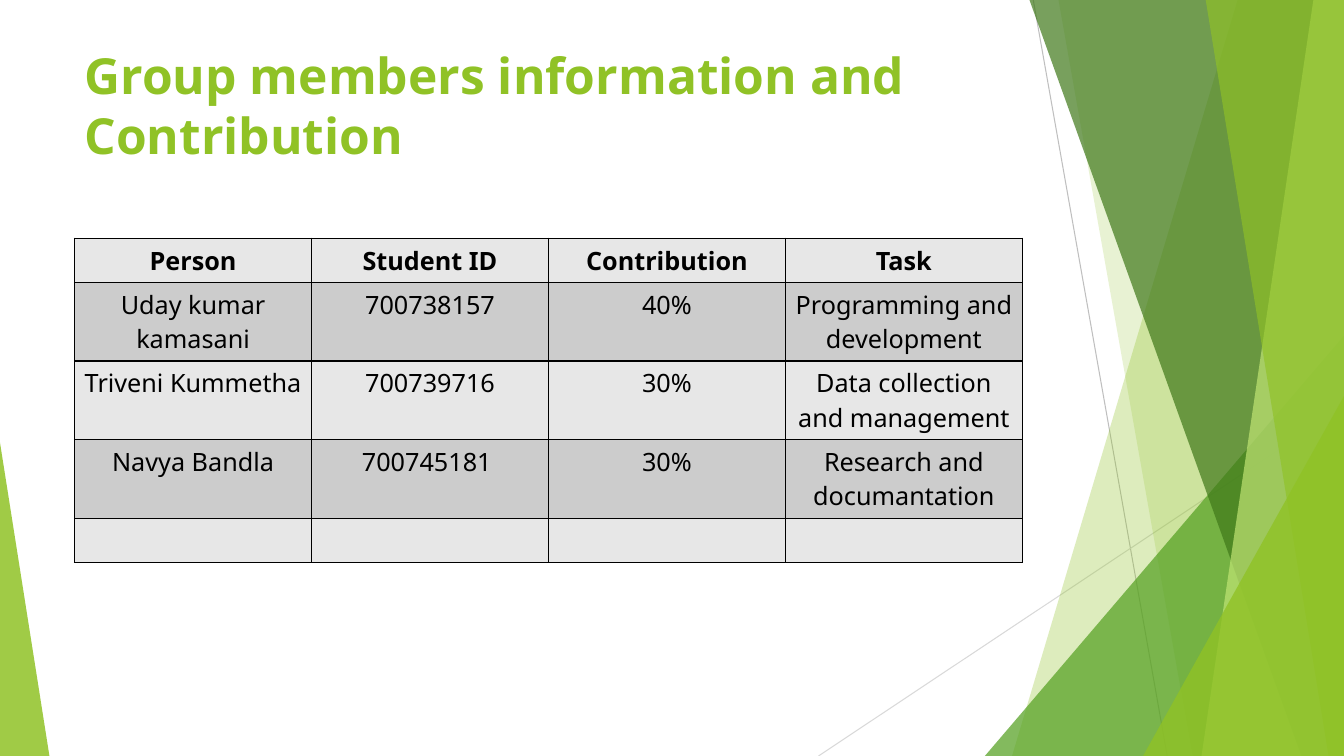
from typing import Any, NamedTuple

from lxml import etree
from pptx import Presentation
from pptx.dml.color import RGBColor
from pptx.enum.shapes import MSO_CONNECTOR, MSO_SHAPE
from pptx.enum.text import MSO_ANCHOR, PP_ALIGN
from pptx.oxml.ns import qn
from pptx.util import Inches, Pt

STRAIGHT = MSO_CONNECTOR.STRAIGHT
TRIANGLE = MSO_SHAPE.ISOSCELES_TRIANGLE
CENTER = PP_ALIGN.CENTER
TOP = MSO_ANCHOR.TOP

SLIDE_W, SLIDE_H = Inches(13.33), Inches(7.5)
FONT = "Noto Sans"
COLORS = {
    "lime": "90C226", "leaf": "54A021", "forest": "3F7819", "pale": "C0E474",
    "dark_ray": "BFBFBF", "light_ray": "D9D9D9",
    "light_row": "E7E7E7", "dark_row": "CCCCCC", "ink": "000000",
}
TITLE = "Group members information and Contribution"
TITLE_FORMAT = {"name": FONT, "size": Pt(35.5), "bold": True}
CELL_FORMAT = {"name": FONT, "size": Pt(18)}
CELL_MARGINS = {
    "margin_left": Inches(0.08), "margin_right": Inches(0.08),
    "margin_top": Inches(0.05), "margin_bottom": Inches(0.05),
}
MEMBERS = [
    ("Person", "Student ID", "Contribution", "Task"),
    ("Uday kumar kamasani", "700738157", "40%", "Programming and development"),
    ("Triveni Kummetha", "700739716", "30%", "Data collection and management"),
    ("Navya Bandla", "700745181 ", "30%", "Research and documantation"),
    ("", "", "", ""),
]
# Table grid in percent of the slide
ONE_LINE, TWO_LINES = 5.85, 10.4
ROW_HEIGHTS = [ONE_LINE, TWO_LINES, TWO_LINES, TWO_LINES, ONE_LINE]
COLUMN_W = 17.63
TABLE_LEFT, TABLE_TOP = 5.55, 31.5


class Ray(NamedTuple):
    """Thin line; ends in percent of the slide."""
    x1: float
    y1: float
    x2: float
    y2: float
    color: str


class Facet(NamedTuple):
    """Full-height band from a slanted left edge to the right slide edge."""
    top_x: float
    bottom_x: float
    color: str
    opacity: int


class Wedge(NamedTuple):
    """Right triangle standing on the bottom edge, peak at one side."""
    left: float
    top: float
    width: float
    peak: int
    color: str
    opacity: int


RAYS = [
    Ray(76.88, 0, 86.85, 100, "dark_ray"),
    Ray(100, 53.73, 60.9, 100, "light_ray"),
]
PANELS = [
    Facet(92.1, 75.3, "lime", 30),
    Facet(78.75, 88.73, "lime", 20),
    Wedge(73.28, 44.4, 26.72, 1, "leaf", 72),
    Facet(76.58, 96.83, "forest", 70),
    Facet(97.73, 89.4, "pale", 70),
    Facet(89.7, 98.85, "lime", 65),
    Wedge(85.05, 52.4, 14.95, 1, "lime", 80),
    Wedge(0, 58.53, 3.68, 0, "lime", 85),
]


def across(percent: float) -> int:
    """Length as a percentage of the slide width."""
    return round(SLIDE_W * percent / 100)


def down(percent: float) -> int:
    """Length as a percentage of the slide height."""
    return round(SLIDE_H * percent / 100)


def rgb(name: str) -> RGBColor:
    """Colour by its palette name."""
    return RGBColor.from_string(COLORS[name])


def apply(target: Any, values: dict[str, Any]) -> None:
    """Set every attribute in values on target."""
    for key, value in values.items():
        setattr(target, key, value)


def draw_ray(slide: Any, ray: Ray) -> None:
    """Draw a thin background line without shadow."""
    line = slide.shapes.add_connector(
        STRAIGHT, across(ray.x1), down(ray.y1), across(ray.x2), down(ray.y2))
    line.line.width = Pt(0.75)
    line.line.color.rgb = rgb(ray.color)
    etree.SubElement(line._element.spPr, qn("a:effectLst"))


def draw_panel(slide: Any, panel: Facet | Wedge) -> None:
    """Draw a translucent facet or wedge."""
    if isinstance(panel, Facet):
        builder = slide.shapes.build_freeform(across(panel.top_x), down(-0.1))
        builder.add_line_segments([
            (across(100), down(-0.1)), (across(100), down(100)),
            (across(panel.bottom_x), down(100))])
        shape = builder.convert_to_shape()
    else:
        shape = slide.shapes.add_shape(
            TRIANGLE, across(panel.left), down(panel.top),
            across(panel.width), down(100 - panel.top))
        shape.adjustments[0] = panel.peak
    shape.shadow.inherit = False
    shape.line.fill.background()
    shape.fill.solid()
    shape.fill.fore_color.rgb = rgb(panel.color)
    color = shape._element.spPr.find(qn("a:solidFill"))[0]
    etree.SubElement(color, qn("a:alpha"), val=str(panel.opacity * 1000))


def draw_title(slide: Any) -> None:
    """Write the slide title."""
    box = slide.shapes.add_textbox(
        across(TABLE_LEFT), down(5.33), across(86.25), down(11.73))
    apply(box.text_frame, {"word_wrap": True, "vertical_anchor": TOP})
    run = box.text_frame.paragraphs[0].add_run()
    run.text = TITLE
    apply(run.font, TITLE_FORMAT)
    run.font.color.rgb = rgb("lime")


def add_borders(cell: Any) -> None:
    """Give a cell thin lines on all four sides, ahead of its fill."""
    properties = cell._tc.get_or_add_tcPr()
    for index, side in enumerate(("lnL", "lnR", "lnT", "lnB")):
        border = etree.Element(qn(f"a:{side}"), w=str(Pt(1)))
        fill = etree.SubElement(border, qn("a:solidFill"))
        etree.SubElement(fill, qn("a:srgbClr"), val=COLORS["ink"])
        properties.insert(index, border)


def fill_cell(cell: Any, text: str, row: int) -> None:
    """Write and format one table cell."""
    apply(cell, CELL_MARGINS)
    cell.fill.solid()
    cell.fill.fore_color.rgb = rgb("dark_row" if row % 2 else "light_row")
    add_borders(cell)
    paragraph = cell.text_frame.paragraphs[0]
    paragraph.alignment = CENTER
    if text:
        run = paragraph.add_run()
        run.text = text
        apply(run.font, CELL_FORMAT | {"bold": row == 0})
        run.font.color.rgb = rgb("ink")


def draw_members(slide: Any) -> None:
    """Draw the table of members."""
    columns = len(MEMBERS[0])
    table = slide.shapes.add_table(
        len(MEMBERS), columns, across(TABLE_LEFT), down(TABLE_TOP),
        across(COLUMN_W * columns), down(sum(ROW_HEIGHTS))).table
    for row, (member, height) in enumerate(zip(MEMBERS, ROW_HEIGHTS)):
        table.rows[row].height = down(height)
        for column, text in enumerate(member):
            fill_cell(table.cell(row, column), text, row)


def main() -> None:
    """Build and save the slide."""
    deck = Presentation()
    apply(deck, {"slide_width": SLIDE_W, "slide_height": SLIDE_H})
    slide = deck.slides.add_slide(deck.slide_layouts[6])
    for ray in RAYS:
        draw_ray(slide, ray)
    for panel in PANELS:
        draw_panel(slide, panel)
    draw_title(slide)
    draw_members(slide)
    deck.save("out.pptx")


main()
